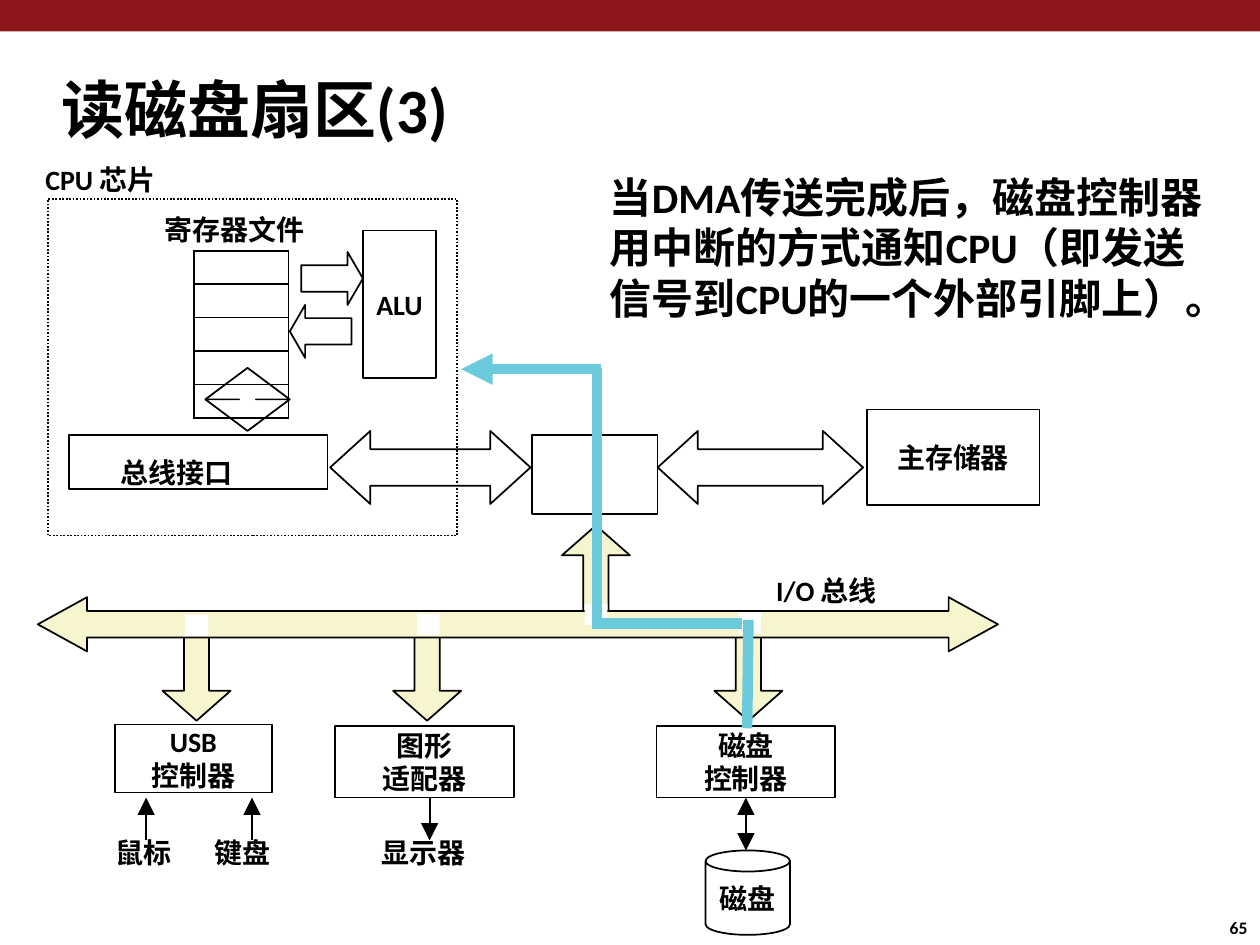
from lxml import etree
from pptx import Presentation
from pptx.dml.color import RGBColor
from pptx.enum.dml import MSO_LINE_DASH_STYLE as DASH
from pptx.enum.shapes import MSO_CONNECTOR, MSO_SHAPE as SHAPE
from pptx.enum.text import MSO_ANCHOR as ANCHOR, PP_ALIGN as ALIGN
from pptx.oxml.ns import qn
from pptx.util import Inches, Pt

BLACK = RGBColor(0x00, 0x00, 0x00)
WHITE = RGBColor(0xFF, 0xFF, 0xFF)
RED = RGBColor(0x8D, 0x17, 0x1A)
CREAM = RGBColor(0xF7, 0xF5, 0xCD)
CYAN = RGBColor(0x6B, 0xCB, 0xDC)
FONT = "Calibri"


def write(tf, text, size, align, anchor):
    tf.margin_left = tf.margin_right = tf.margin_top = tf.margin_bottom = 0
    tf.word_wrap = True
    tf.vertical_anchor = anchor
    tf.text = text
    for p in tf.paragraphs:
        p.alignment = align
        for r in p.runs:
            r.font.name = FONT
            r.font.size = Pt(size)
            r.font.bold = True
            r.font.color.rgb = BLACK


def add_label(s, x, y, w, h, text, size=16):
    sp = s.shapes.add_textbox(Inches(x), Inches(y), Inches(w), Inches(h))
    write(sp.text_frame, text, size, ALIGN.LEFT, ANCHOR.TOP)


def add_box(s, x, y, w, h, text="", kind=SHAPE.RECTANGLE, fill=None, line=BLACK):
    sp = s.shapes.add_shape(kind, Inches(x), Inches(y), Inches(w), Inches(h))
    sp.shadow.inherit = False
    if fill is None:
        sp.fill.background()
    else:
        sp.fill.solid()
        sp.fill.fore_color.rgb = fill
    if line is None:
        sp.line.fill.background()
    else:
        sp.line.color.rgb = line
        sp.line.width = Pt(1)
    if text:
        write(sp.text_frame, text, 16, ALIGN.CENTER, ANCHOR.MIDDLE)
    return sp


def add_block_arrow(s, kind, x, y, w, h, shaft, head, fill=None):
    sp = add_box(s, x, y, w, h, kind=kind, fill=fill)
    sp.adjustments[0] = shaft
    sp.adjustments[1] = head


def add_line(s, x1, y1, x2, y2, color=BLACK, width=1, ends=(), size="lg"):
    c = s.shapes.add_connector(MSO_CONNECTOR.STRAIGHT, Inches(x1), Inches(y1),
                               Inches(x2), Inches(y2))
    c.line.color.rgb = color
    c.line.width = Pt(width)
    ln = c.line._get_or_add_ln()
    for end in ends:
        etree.SubElement(ln, qn("a:" + end), type="triangle", w=size, len=size)
    etree.SubElement(c._element.spPr, qn("a:effectLst"))
    return c


def add_registers(s, x, y, w, h, rows):
    frame = s.shapes.add_table(rows, 1, Inches(x), Inches(y), Inches(w), Inches(h))
    table = frame.table
    table.first_row = table.horz_banding = False
    for cell in table.iter_cells():
        cell.margin_top = cell.margin_bottom = 0
        p = cell.text_frame.paragraphs[0]
        etree.SubElement(p._p, qn("a:endParaRPr"), sz="1000")
        tc_pr = cell._tc.get_or_add_tcPr()
        for side in ("lnL", "lnR", "lnT", "lnB"):
            ln = etree.SubElement(tc_pr, qn("a:" + side), w=str(Pt(1)))
            solid = etree.SubElement(ln, qn("a:solidFill"))
            etree.SubElement(solid, qn("a:srgbClr"), val=str(BLACK))
        cell.fill.background()


def add_cpu(s):
    add_registers(s, 1.54, 1.99, 0.75, 1.33, 5)
    add_block_arrow(s, SHAPE.RIGHT_ARROW, 2.39, 2, 0.49, 0.42, 0.5, 0.29)
    add_block_arrow(s, SHAPE.LEFT_ARROW, 2.3, 2.42, 0.49, 0.42, 0.5, 0.29)
    add_box(s, 2.88, 1.83, 0.58, 1.17, "ALU")
    add_label(s, 1.31, 1.69, 1.23, 0.27, "寄存器文件")
    add_block_arrow(s, SHAPE.UP_DOWN_ARROW, 1.63, 2.92, 0.67, 0.5, 0.5, 0.2)
    chip = add_box(s, 0.38, 1.58, 3.25, 2.67)
    chip.line.dash_style = DASH.ROUND_DOT
    add_label(s, 0.36, 1.29, 1.06, 0.27, "CPU 芯片")
    interface = add_box(s, 0.55, 3.45, 2.05, 0.43, "总线接口")
    interface.text_frame.margin_top = Inches(0.16)
    interface.text_frame.margin_right = Inches(0.35)


def add_memory(s):
    add_box(s, 6.88, 3.25, 1.37, 0.76, "主存储器")
    add_box(s, 4.22, 3.45, 1, 0.63)
    for x, w in ((2.62, 1.59), (5.22, 1.63)):
        add_block_arrow(s, SHAPE.LEFT_RIGHT_ARROW, x, 3.42, w, 0.58, 0.5, 0.55)


def add_io_bus(s):
    add_block_arrow(s, SHAPE.UP_ARROW, 4.46, 4.17, 0.54, 0.75, 0.37, 0.44, CREAM)
    for x in (1.29, 3.12, 5.67):
        add_block_arrow(s, SHAPE.DOWN_ARROW, x, 4.97, 0.54, 0.75, 0.37, 0.44, CREAM)
    add_block_arrow(s, SHAPE.LEFT_RIGHT_ARROW, 0.3, 4.74, 7.62, 0.43, 0.49, 0.91, CREAM)
    for x, y in ((1.47, 4.88), (3.31, 4.87), (5.86, 4.86), (4.64, 4.79)):
        add_box(s, x, y, 0.18, 0.17, fill=WHITE, line=None)
    add_label(s, 6.16, 4.55, 0.95, 0.27, "I/O 总线")


def add_devices(s):
    add_box(s, 0.91, 5.75, 1.25, 0.54, "USB\n控制器")
    add_box(s, 2.66, 5.76, 1.42, 0.57, "图形\n适配器")
    controller = add_box(s, 5.21, 5.76, 1.42, 0.57, "磁盘\n控制器")
    for x in (1.16, 2):
        add_line(s, x, 6.67, x, 6.33, ends=("tailEnd",))
    add_line(s, 3.41, 6.33, 3.41, 6.67, ends=("tailEnd",))
    link = add_line(s, 5.92, 6.33, 5.92, 6.75, ends=("headEnd", "tailEnd"))
    link.begin_connect(controller, 2)
    add_box(s, 5.6, 6.75, 0.67, 0.67, "磁盘", SHAPE.CAN)
    for x, w, text in ((0.92, 0.5, "鼠标"), (1.7, 0.5, "键盘"), (3.03, 0.79, "显示器")):
        add_label(s, x, 6.63, w, 0.27, text)


def add_interrupt_path(s):
    add_line(s, 4.77, 2.93, 3.66, 2.93, CYAN, 6, ("tailEnd",), "med")
    for x1, y1, x2, y2 in ((4.74, 2.92, 4.74, 4.92), (4.7, 4.95, 5.89, 4.95),
                           (5.94, 4.92, 5.93, 5.78)):
        add_line(s, x1, y1, x2, y2, CYAN, 6)


def main():
    prs = Presentation()
    prs.slide_width, prs.slide_height = Inches(10), Inches(7.5)
    s = prs.slides.add_slide(prs.slide_layouts[5])
    title = s.shapes.title
    title.left, title.top = Inches(0.49), Inches(0.56)
    title.width, title.height = Inches(3.6), Inches(0.61)
    write(title.text_frame, "读磁盘扇区(3)", 36, ALIGN.LEFT, ANCHOR.TOP)
    add_box(s, 0, 0, 10, 0.25, fill=RED, line=None)
    add_memory(s)
    add_cpu(s)
    add_io_bus(s)
    add_devices(s)
    add_interrupt_path(s)
    add_label(s, 4.84, 1.36, 4.82, 1.61,
              "当DMA传送完成后，磁盘控制器用中断的方式通知CPU（即发送信号到CPU的一个外部引脚上）。", 24)
    add_label(s, 9.76, 7.28, 0.2, 0.17, "65", 10)
    prs.save("out.pptx")


if __name__ == "__main__":
    main()
